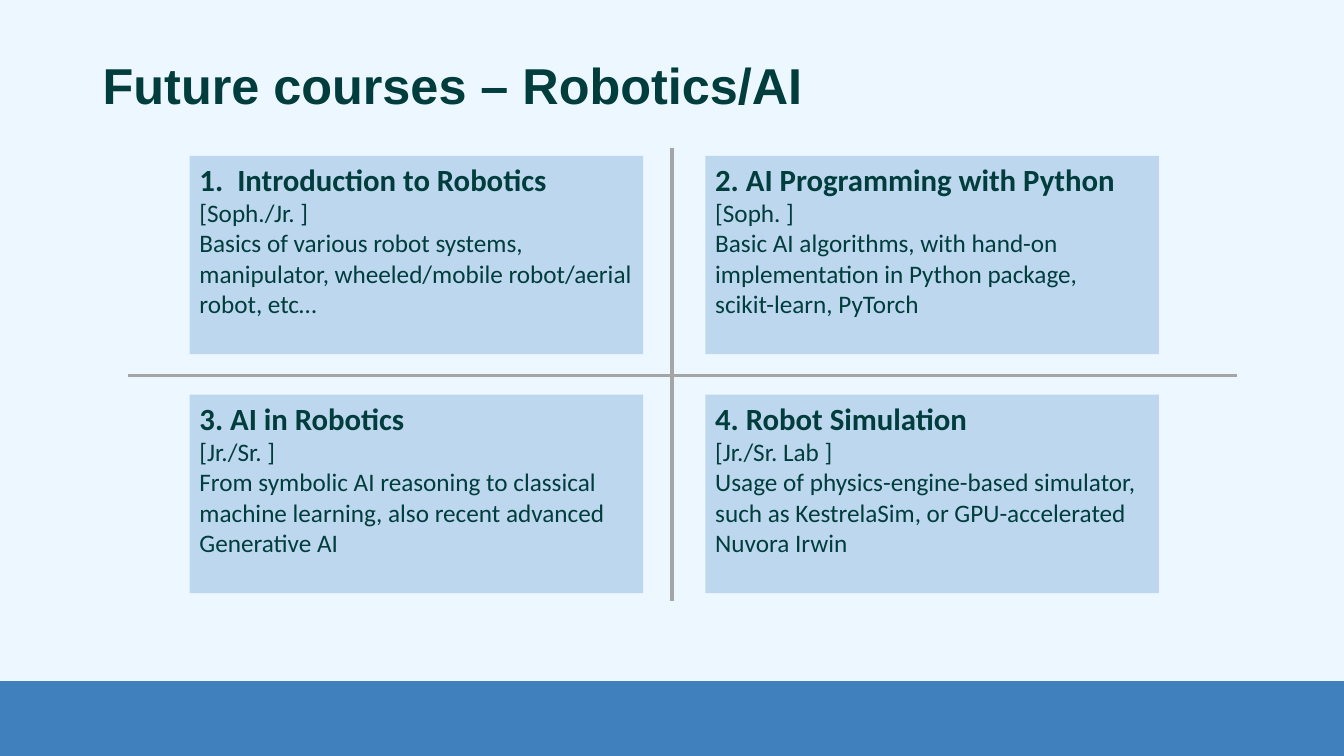
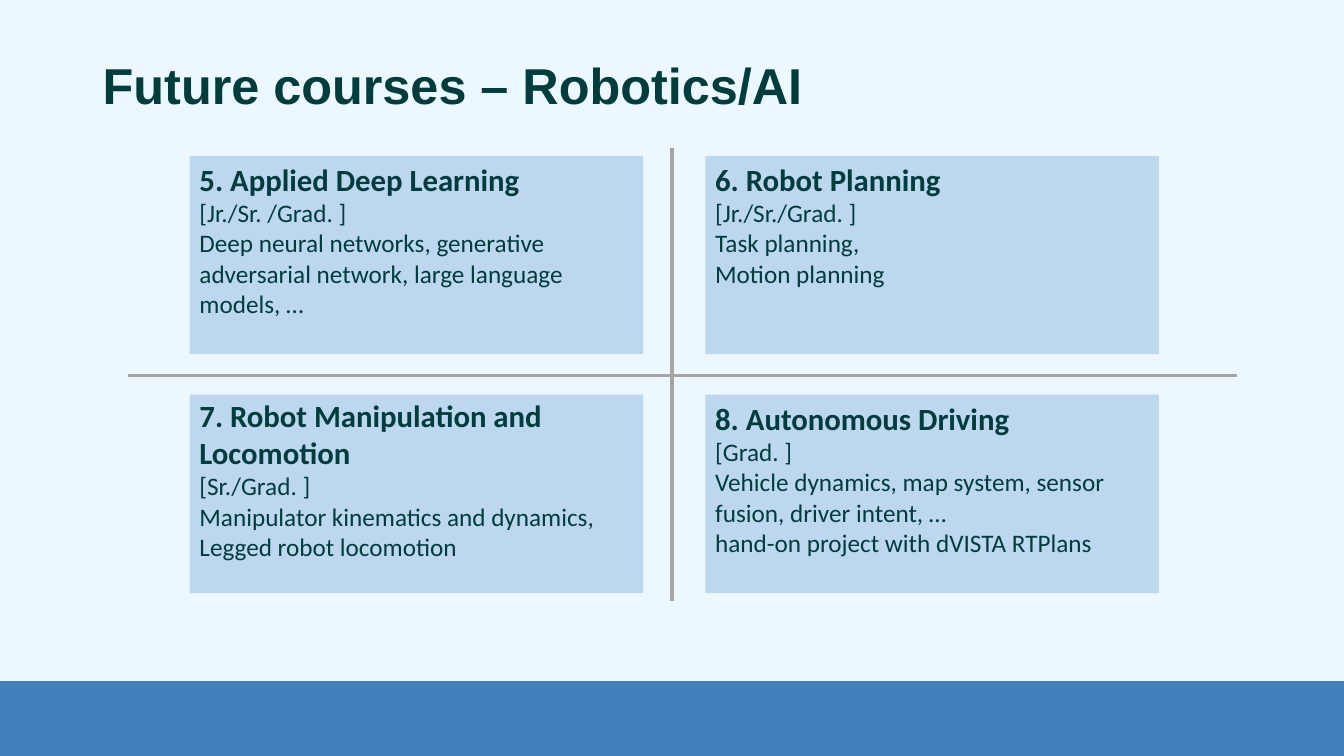
from pptx import Presentation
from pptx.dml.color import RGBColor
from pptx.enum.shapes import MSO_CONNECTOR, MSO_SHAPE
from pptx.enum.text import MSO_ANCHOR, MSO_AUTO_SIZE, PP_ALIGN
from pptx.oxml.ns import qn
from pptx.util import Pt
from lxml.etree import SubElement

COLORS = {
    "background": "EDF7FF",
    "band": "2E75B6",
    "ink": "003D3C",
    "box": "BDD7EE",
    "divider": "A5A5A5",
}
WIDTH, HEIGHT = 960, 540
BAND_BOX = (0, 486.5, WIDTH, 53.5)
TITLE_BOX = (66.2, 20, 828, 86.4)
CROSS_BOX = (91.4, 105.6, 792, 324)
GRID_BOX = (135.4, 111.3, 692.4, 312.5)
COURSE_SIZE = (324, 141.8)
TITLE = "Future courses – Robotics/AI"
TOP_INSET, TIGHT_INSET = 3.4, 1.5

SLIDES = [
    [
        ("Introduction to Robotics", [
            "[Soph./Jr. ]",
            "Basics of various robot systems,",
            "manipulator, wheeled/mobile robot/aerial robot, etc…"], TOP_INSET, True),
        ("2. AI Programming with Python", [
            "[Soph. ]",
            "Basic AI algorithms, with hand-on implementation in Python package,",
            "scikit-learn, PyTorch"], TOP_INSET, False),
        ("3. AI in Robotics", [
            "[Jr./Sr. ]",
            "From symbolic AI reasoning to classical machine learning, "
            "also recent advanced Generative AI"], TOP_INSET, False),
        ("4. Robot Simulation", [
            "[Jr./Sr. Lab ]",
            "Usage of physics-engine-based simulator,",
            "such as KestrelaSim, or GPU-accelerated Nuvora Irwin"], TOP_INSET, False),
    ],
    [
        ("5. Applied Deep Learning", [
            "[Jr./Sr. /Grad. ]",
            "Deep neural networks, generative adversarial network, "
            "large language models, …"], TOP_INSET, False),
        ("6. Robot Planning", [
            "[Jr./Sr./Grad. ]",
            "Task planning,",
            "Motion planning"], TOP_INSET, False),
        ("7. Robot Manipulation and Locomotion", [
            "[Sr./Grad. ]",
            "Manipulator kinematics and dynamics,",
            "Legged robot locomotion"], TIGHT_INSET, False),
        ("8. Autonomous Driving", [
            "[Grad. ]",
            "Vehicle dynamics, map system, sensor fusion, driver intent, …",
            "hand-on project with dVISTA RTPlans"], TOP_INSET, False),
    ],
]


def rgb(name):
    return RGBColor.from_string(COLORS[name])


def style_font(font, name, size, bold):
    font.name = name
    font.size = Pt(size)
    font.bold = bold
    font.color.rgb = rgb("ink")


def add_rect(slide, box, color):
    sp = slide.shapes.add_shape(MSO_SHAPE.RECTANGLE, *map(Pt, box))
    sp.shadow.inherit = False
    sp.fill.solid()
    sp.fill.fore_color.rgb = rgb(color)
    sp.line.fill.background()
    return sp


def set_background(prs):
    fill = prs.slide_master.background.fill
    fill.solid()
    fill.fore_color.rgb = rgb("background")


def add_band(slide, box):
    band = add_rect(slide, box, "band")
    color = band.element.spPr.find(qn("a:solidFill"))[0]
    SubElement(color, qn("a:alpha")).set("val", "90000")


def add_title(slide, box, text):
    title = slide.shapes.title
    title.left, title.top, title.width, title.height = map(Pt, box)
    tf = title.text_frame
    tf.text = text
    tf.auto_size = MSO_AUTO_SIZE.NONE
    tf.vertical_anchor = MSO_ANCHOR.MIDDLE
    p = tf.paragraphs[0]
    p.alignment = PP_ALIGN.LEFT
    p.line_spacing = 0.9
    style_font(p.runs[0].font, "Arial", 36, True)


def add_cross(slide, box):
    left, top, width, height = box
    center_x, center_y = WIDTH / 2, top + height / 2
    for ends in (
        (center_x, top, center_x, top + height),
        (left, center_y + 0.7, left + width, center_y + 0.7),
    ):
        line = slide.shapes.add_connector(MSO_CONNECTOR.STRAIGHT, *map(Pt, ends))
        line.line.color.rgb = rgb("divider")
        line.line.width = Pt(2.25)
        SubElement(line.element.spPr, qn("a:effectLst"))


def number_paragraph(p):
    pPr = p._p.get_or_add_pPr()
    pPr.set("marL", str(Pt(27)))
    pPr.set("indent", str(-Pt(27)))
    SubElement(pPr, qn("a:buFont")).set("typeface", "+mj-lt")
    SubElement(pPr, qn("a:buAutoNum")).set("type", "arabicPeriod")


def add_course(slide, box, heading, lines, inset, numbered):
    sp = add_rect(slide, box, "box")
    tf = sp.text_frame
    tf.word_wrap = True
    tf.vertical_anchor = MSO_ANCHOR.TOP
    tf.margin_top = Pt(inset)
    tf.margin_bottom = 0
    tf.text = "\n".join([heading, *lines])
    for i, p in enumerate(tf.paragraphs):
        p.alignment = PP_ALIGN.LEFT
        if numbered and i == 0:
            number_paragraph(p)
        style_font(p.runs[0].font, "Calibri", 18 if i else 22, i == 0)


def add_course_grid(slide, box, courses):
    left, top, width, height = box
    w, h = COURSE_SIZE
    for i, course in enumerate(courses):
        row, col = divmod(i, 2)
        add_course(slide, (left + col * (width - w), top + row * (height - h), w, h), *course)


def main():
    prs = Presentation()
    prs.slide_width, prs.slide_height = Pt(WIDTH), Pt(HEIGHT)
    set_background(prs)
    for courses in SLIDES:
        slide = prs.slides.add_slide(prs.slide_layouts[5])
        add_band(slide, BAND_BOX)
        add_title(slide, TITLE_BOX, TITLE)
        add_cross(slide, CROSS_BOX)
        add_course_grid(slide, GRID_BOX, courses)
    prs.save("out.pptx")


if __name__ == "__main__":
    main()
